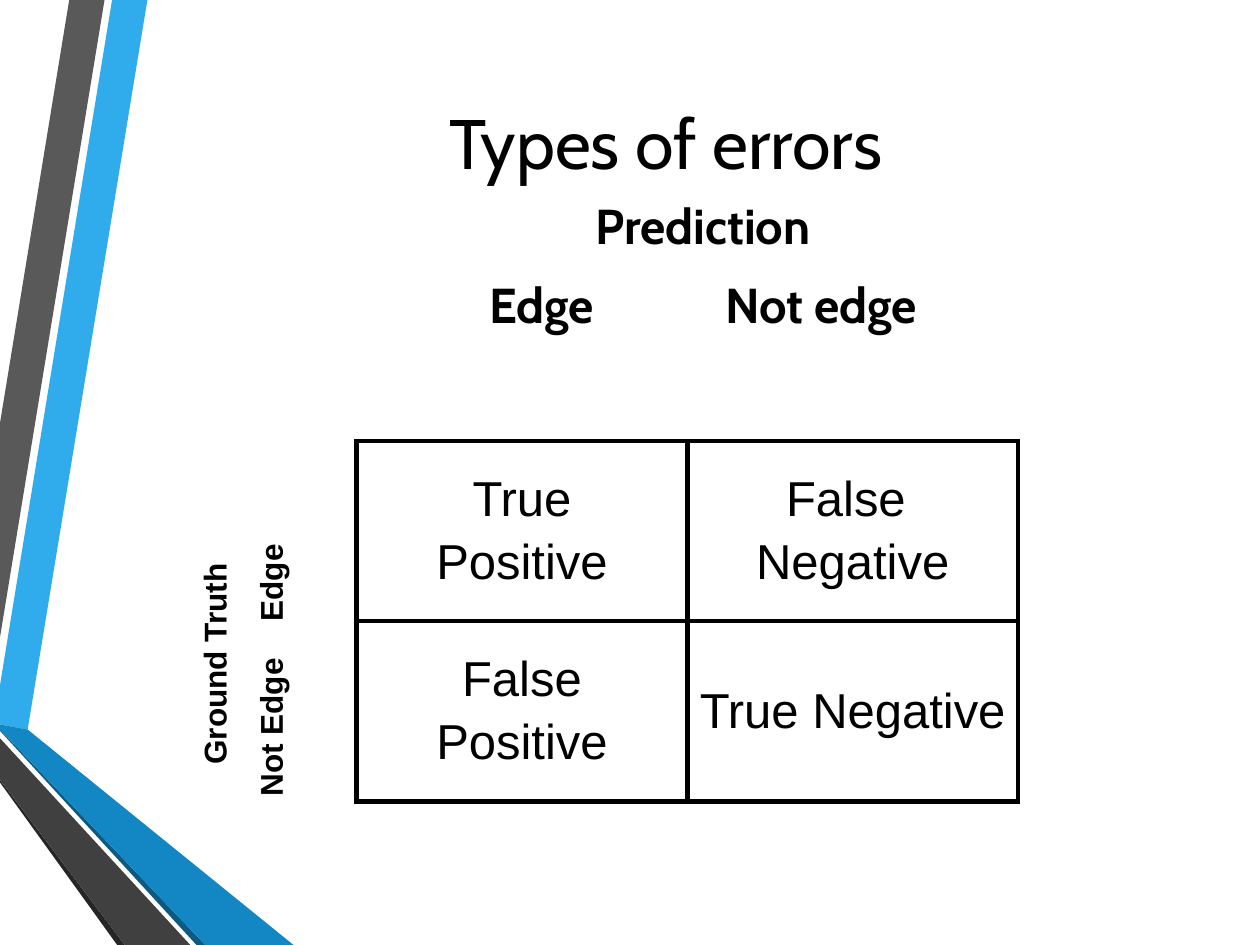
from dataclasses import dataclass

from lxml.etree import SubElement
from pptx import Presentation
from pptx.dml.color import RGBColor
from pptx.enum.text import MSO_ANCHOR, PP_ALIGN
from pptx.oxml.ns import qn
from pptx.util import Inches, Pt


@dataclass(frozen=True)
class Theme:
    ink: str = "000000"
    title_font: str = "Cabin"
    body_font: str = "Arial"
    title_size: int = 40
    body_size: int = 28
    axis_size: int = 18
    border_width: int = 3


@dataclass(frozen=True)
class Box:
    left: float
    top: float
    width: float
    height: float

    def lengths(self):
        return [Inches(value) for value in (self.left, self.top, self.width, self.height)]


THEME = Theme()

RIBBONS = [
    ("30ACEC", [(0, 5.44), (0, 5.75), (0.22, 5.79), (1.17, 0), (0.89, 0)]),
    ("595959", [(0.83, 0), (0.55, 0), (0, 3.36), (0, 5.06)]),
    ("262626", [(0, 6.19), (0, 6.21), (0.93, 7.5), (0.99, 7.5)]),
    ("0C5A82", [(0, 5.79), (0, 5.8), (1.56, 7.5), (1.63, 7.5)]),
    ("1287C3", [(0, 5.79), (1.63, 7.5), (2.33, 7.5), (0.22, 5.79), (0, 5.75)]),
    ("404040", [(0, 6.19), (0.99, 7.5), (1.51, 7.5), (0, 5.86)]),
]

OUTCOMES = [
    [["True", "Positive"], ["False ", "Negative"]],
    [["False", "Positive"], ["True Negative"]],
]


def write_paragraphs(text_frame, lines, font_format, paragraph_format):
    for index, line in enumerate(lines):
        paragraph = text_frame.paragraphs[0] if index == 0 else text_frame.add_paragraph()
        for name, value in paragraph_format.items():
            setattr(paragraph, name, value)
        run = paragraph.add_run()
        run.text = line
        for name, value in font_format.items():
            setattr(run.font, name, value)
        run.font.color.rgb = RGBColor.from_string(THEME.ink)


def add_text(slide, box, lines, font_format, paragraph_format, anchor=MSO_ANCHOR.TOP):
    text_frame = slide.shapes.add_textbox(*box.lengths()).text_frame
    text_frame.word_wrap = True
    text_frame.vertical_anchor = anchor
    write_paragraphs(text_frame, lines, font_format, paragraph_format)
    return text_frame


def set_tab_stops(paragraph, stops, alignment):
    """Put tab stops, in inches from the text edge, on a left-aligned paragraph."""
    paragraph.alignment = PP_ALIGN.LEFT
    tab_list = SubElement(paragraph._p.get_or_add_pPr(), qn("a:tabLst"))
    for stop in stops:
        SubElement(tab_list, qn("a:tab"), pos=str(Inches(stop)), algn=alignment)


def add_ribbons(slide, box):
    for color, outline in RIBBONS:
        points = [(Inches(box.left + x), Inches(box.top + y)) for x, y in outline]
        builder = slide.shapes.build_freeform(*points[0])
        builder.add_line_segments(points[1:])
        shape = builder.convert_to_shape()
        shape.shadow.inherit = False
        shape.fill.solid()
        shape.fill.fore_color.rgb = RGBColor.from_string(color)
        shape.line.fill.background()


def add_title(slide, box):
    font_format = {"name": THEME.title_font, "size": Pt(THEME.title_size)}
    add_text(slide, box, ["Types of errors"], font_format,
             {"alignment": PP_ALIGN.CENTER}, MSO_ANCHOR.MIDDLE)


def add_prediction_axis(slide, box):
    font_format = {"name": THEME.title_font, "size": Pt(THEME.body_size), "bold": True}
    paragraph_format = {"alignment": PP_ALIGN.CENTER, "space_after": Pt(11.6)}
    text_frame = add_text(slide, box, ["Prediction", "\tEdge\tNot edge"],
                          font_format, paragraph_format)
    set_tab_stops(text_frame.paragraphs[1], (1.62, 3.84), "ctr")


def add_truth_axis(slide, box):
    """Write the row labels upwards, from the bottom of the box."""
    font_format = {"name": THEME.body_font, "size": Pt(THEME.axis_size), "bold": True}
    paragraph_format = {"alignment": PP_ALIGN.CENTER, "space_before": Pt(10.5)}
    text_frame = add_text(slide, box, ["Ground Truth", "Not Edge\tEdge"],
                          font_format, paragraph_format)
    text_frame._txBody.bodyPr.set("vert", "vert270")
    set_tab_stops(text_frame.paragraphs[1], (1.39,), "l")


def set_borders(cell):
    properties = cell._tc.get_or_add_tcPr()
    for index, side in enumerate(("lnL", "lnR", "lnT", "lnB")):
        line = SubElement(properties, qn(f"a:{side}"), w=str(Pt(THEME.border_width)))
        fill = SubElement(line, qn("a:solidFill"))
        SubElement(fill, qn("a:srgbClr"), val=THEME.ink)
        properties.insert(index, line)


def add_outcome_table(slide, box):
    row_count, column_count = len(OUTCOMES), len(OUTCOMES[0])
    table = slide.shapes.add_table(row_count, column_count, *box.lengths()).table
    table.first_row = table.horz_banding = False
    font_format = {"name": THEME.body_font, "size": Pt(THEME.body_size)}
    paragraph_format = {"alignment": PP_ALIGN.CENTER, "space_before": Pt(5)}
    cell_format = {
        "vertical_anchor": MSO_ANCHOR.MIDDLE,
        "margin_left": Inches(0.08),
        "margin_right": Inches(0.08),
    }
    for row_index, row in enumerate(OUTCOMES):
        for column_index, lines in enumerate(row):
            cell = table.cell(row_index, column_index)
            for name, value in cell_format.items():
                setattr(cell, name, value)
            cell.fill.background()
            set_borders(cell)
            write_paragraphs(cell.text_frame, lines, font_format, paragraph_format)


def main():
    presentation = Presentation()
    presentation.slide_width, presentation.slide_height = Inches(10), Inches(7.5)
    slide = presentation.slides.add_slide(presentation.slide_layouts[6])
    add_ribbons(slide, Box(0, 0, 2.33, 7.5))
    add_title(slide, Box(1.07, 0.5, 8.43, 1.25))
    add_prediction_axis(slide, Box(2.58, 1.5, 6, 1.33))
    add_outcome_table(slide, Box(2.83, 3.5, 5.25, 2.86))
    add_truth_axis(slide, Box(1.5, 4.12, 1.2, 2.3))
    presentation.save("out.pptx")


if __name__ == "__main__":
    main()
